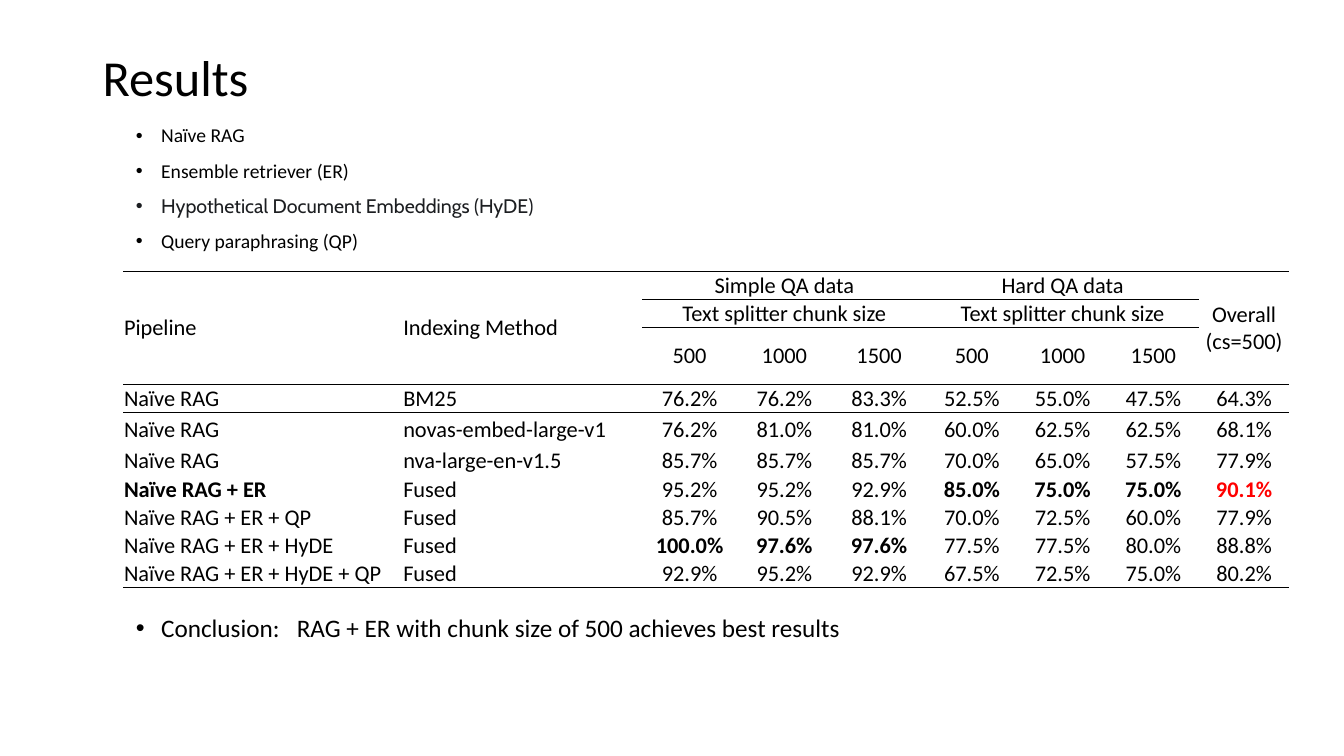
from lxml.etree import SubElement
from pptx import Presentation
from pptx.dml.color import RGBColor
from pptx.enum.text import MSO_ANCHOR as Anchor, PP_ALIGN as Align
from pptx.oxml.ns import qn
from pptx.util import Inches, Pt

BLACK, RED, CHARCOAL = "000000", "FF0000", "1C1E21"
NO_STYLE = "{2D5ABB26-0587-4C30-8999-92F81FD0307C}"
HEADER_ROWS = 3
COLUMN_WIDTHS = [2.77, 2.38] + [0.94] * 3 + [0.9] * 4
ROW_HEIGHTS = [0.28, 0.28, 0.56, 0.28, 0.34] + [0.28] * 5
CHUNK_SIZES = ["500", "1000", "1500"]
HEADERS = [
    ["Pipeline", "Indexing Method", "Simple QA data", "", "", "Hard QA data", "", "",
     "Overall (cs=500)"],
    ["", "", "Text splitter chunk size", "", "", "Text splitter chunk size", "", "", ""],
    ["", "", *CHUNK_SIZES, *CHUNK_SIZES, ""],
]
RESULTS = [
    ("Naïve RAG", "BM25", 76.2, 76.2, 83.3, 52.5, 55.0, 47.5, 64.3),
    ("Naïve RAG", "novas-embed-large-v1", 76.2, 81.0, 81.0, 60.0, 62.5, 62.5, 68.1),
    ("Naïve RAG", "nva-large-en-v1.5", 85.7, 85.7, 85.7, 70.0, 65.0, 57.5, 77.9),
    ("Naïve RAG + ER", "Fused", 95.2, 95.2, 92.9, 85.0, 75.0, 75.0, 90.1),
    ("Naïve RAG + ER + QP", "Fused", 85.7, 90.5, 88.1, 70.0, 72.5, 60.0, 77.9),
    ("Naïve RAG + ER + HyDE", "Fused", 100.0, 97.6, 97.6, 77.5, 77.5, 80.0, 88.8),
    ("Naïve RAG + ER + HyDE + QP", "Fused", 92.9, 95.2, 92.9, 67.5, 72.5, 75.0, 80.2),
]
# Bold columns by table row, and the one red cell
BOLD = {6: (0, 5, 6, 7, 8), 8: (2, 3, 4)}
BEST = (6, 8)


def color(value):
    return RGBColor.from_string(value)


def set_font(font, size, name="Calibri", shade=BLACK, bold=False):
    font.size, font.name, font.bold = Pt(size), name, bold
    font.color.rgb = color(shade)


def add_text_frame(slide, box):
    frame = slide.shapes.add_textbox(*map(Inches, box)).text_frame
    frame.word_wrap = True
    return frame


def add_title(slide, box, text):
    frame = add_text_frame(slide, box)
    frame.vertical_anchor = Anchor.MIDDLE
    paragraph = frame.paragraphs[0]
    paragraph.text = text
    paragraph.line_spacing = 0.9
    set_font(paragraph.font, 36)


def format_bullet(paragraph):
    paragraph.line_spacing = 0.9
    paragraph.space_before = Pt(10)
    properties = paragraph._p.get_or_add_pPr()
    properties.set("marL", str(Inches(0.25)))
    properties.set("indent", str(Inches(-0.25)))
    SubElement(properties, qn("a:buFont"), typeface="Arial")
    SubElement(properties, qn("a:buChar"), char="•")


def add_methods(slide, box):
    frame = add_text_frame(slide, box)
    methods = [
        ("Naïve RAG", "Calibri", BLACK),
        ("Ensemble retriever (ER)", "Calibri", BLACK),
        ("Hypothetical Document Embeddings (HyDE)", "Cabin", CHARCOAL),
        ("Query paraphrasing (QP)", "Calibri", BLACK),
    ]
    for index, (text, font_name, shade) in enumerate(methods):
        paragraph = frame.add_paragraph() if index else frame.paragraphs[0]
        paragraph.text = text
        format_bullet(paragraph)
        set_font(paragraph.font, 14, font_name, shade)


def add_conclusion(slide, box):
    paragraph = add_text_frame(slide, box).paragraphs[0]
    format_bullet(paragraph)
    set_font(paragraph.font, 18)
    for text in ("Conclusion:", " ", "RAG + ER with chunk size of 500 achieves best results"):
        paragraph.add_run().text = text
    # Widen the gap after the label
    paragraph.runs[1].font._element.set("spc", "810")


def add_border(cell, side):
    line = SubElement(cell._tc.get_or_add_tcPr(), qn(f"a:{side}"), w=str(Pt(0.5)))
    fill = SubElement(line, qn("a:solidFill"))
    SubElement(fill, qn("a:srgbClr"), val=BLACK)


def format_cell(cell, text, row, column, last_row):
    cell.text = text
    cell.vertical_anchor = Anchor.MIDDLE
    cell.margin_left = cell.margin_right = cell.margin_top = Inches(0.01)
    cell.margin_bottom = 0
    paragraph = cell.text_frame.paragraphs[0]
    paragraph.alignment = Align.CENTER if column > 1 else Align.LEFT
    shade = RED if (row, column) == BEST else BLACK
    set_font(paragraph.font, 16, shade=shade, bold=column in BOLD.get(row, ()))
    # Rules frame the header and close the table
    score_header = row < HEADER_ROWS and 2 <= column <= 7
    if score_header or row in (0, HEADER_ROWS):
        add_border(cell, "lnT")
    if score_header or row in (0, HEADER_ROWS - 1, last_row):
        add_border(cell, "lnB")
    cell.fill.background()


def add_results_table(slide, left, top):
    rows = HEADERS + [
        [pipeline, method, *(f"{score:.1f}%" for score in scores)]
        for pipeline, method, *scores in RESULTS
    ]
    size = sum(COLUMN_WIDTHS), sum(ROW_HEIGHTS)
    frame = slide.shapes.add_table(
        len(rows), len(COLUMN_WIDTHS), *map(Inches, (left, top, *size)))
    table = frame.table
    table.first_row = table.horz_banding = False
    table._tbl.tblPr.find(qn("a:tableStyleId")).text = NO_STYLE
    for column, width in zip(table.columns, COLUMN_WIDTHS):
        column.width = Inches(width)
    for row, height in zip(table.rows, ROW_HEIGHTS):
        row.height = Inches(height)
    for row, texts in enumerate(rows):
        for column, text in enumerate(texts):
            format_cell(table.cell(row, column), text, row, column, len(rows) - 1)
    # Merged headers: full-height columns, then score groups
    for column in (0, 1, 8):
        table.cell(0, column).merge(table.cell(HEADER_ROWS - 1, column))
    for row in (0, 1):
        for column in (2, 5):
            table.cell(row, column).merge(table.cell(row, column + 2))


def main():
    presentation = Presentation()
    presentation.slide_width, presentation.slide_height = Inches(13.33), Inches(7.5)
    slide = presentation.slides.add_slide(presentation.slide_layouts[6])
    add_title(slide, (0.92, 0.4, 11.5, 0.8), "Results")
    add_methods(slide, (1.25, 1.2, 9.07, 1.92))
    add_results_table(slide, 1.22, 2.69)
    add_conclusion(slide, (1.25, 6.06, 9.07, 1.4))
    presentation.save("out.pptx")


if __name__ == "__main__":
    main()
